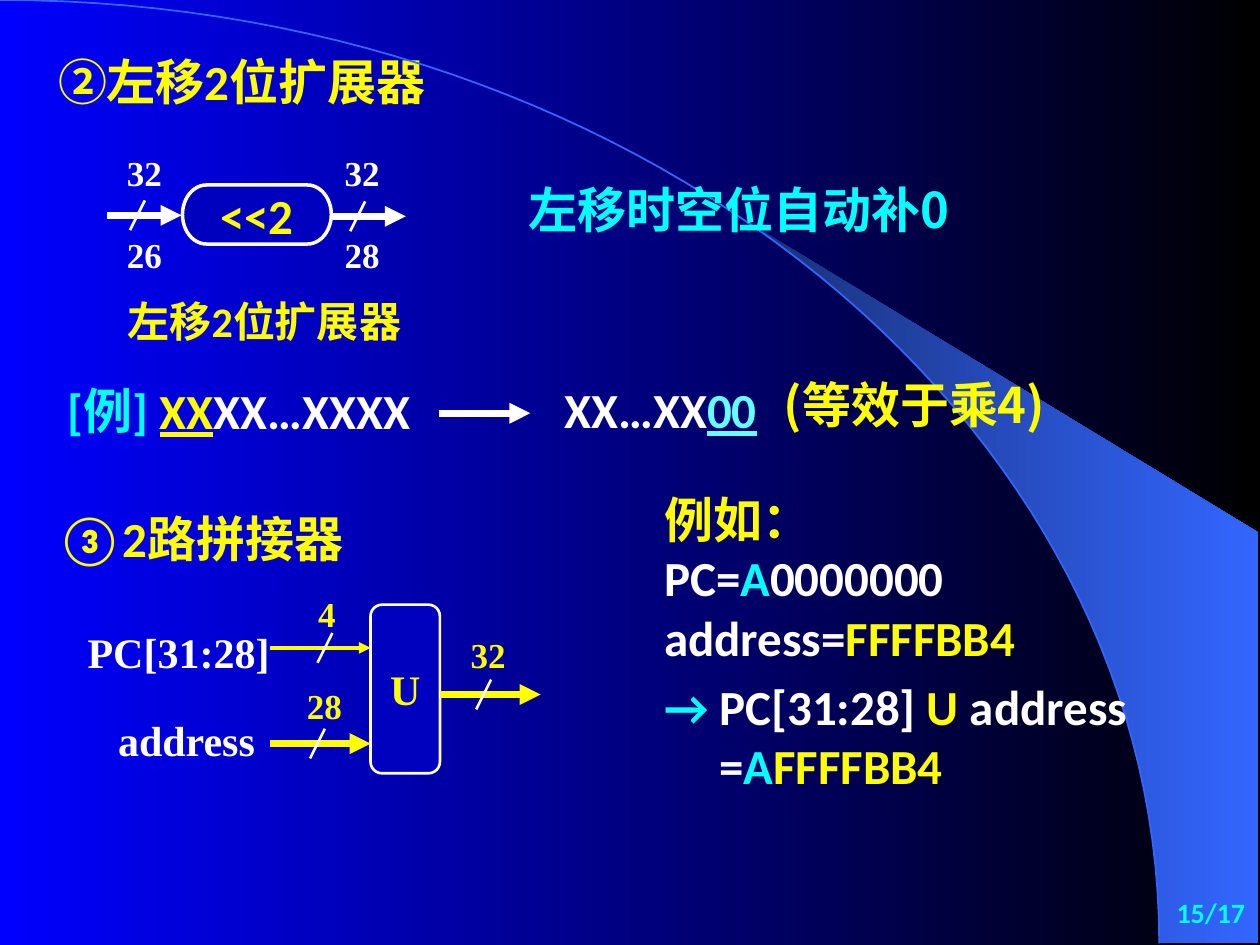
from dataclasses import dataclass

from lxml.etree import SubElement
from pptx import Presentation
from pptx.dml.color import RGBColor
from pptx.enum.shapes import MSO_CONNECTOR, MSO_SHAPE
from pptx.enum.text import MSO_ANCHOR as Anchor, PP_ALIGN as Align
from pptx.oxml.ns import qn
from pptx.util import Cm, Pt


@dataclass(frozen=True)
class Theme:
    blue: str = "0000FF"
    black: str = "000000"
    navy: str = "182F76"
    azure: str = "3366FF"
    block: str = "0000BF"
    white: str = "FFFFFF"
    yellow: str = "FFFF00"
    cyan: str = "00FFFF"
    pale: str = "66FFFF"
    body: str = "Calibri"
    label: str = "Times New Roman"
    chinese: str = "Noto Sans CJK SC"
    large: int = 28
    medium: int = 24
    small: int = 20
    tiny: int = 16


class SlideBuilder:
    def __init__(self, slide, theme):
        self.slide = slide
        self.shapes = slide.shapes
        self.theme = theme

    def gradient(self, fill, first, last):
        fill.gradient()
        fill.gradient_angle = 0
        for stop, color in zip(fill.gradient_stops, (first, last)):
            stop.color.rgb = RGBColor.from_string(color)

    def stroke(self, line, color, width):
        line.color.rgb = RGBColor.from_string(color)
        line.width = Pt(width)

    def outline(self, points, close):
        start, *rest = [(Cm(x), Cm(y)) for x, y in points]
        builder = self.shapes.build_freeform(*start)
        builder.add_line_segments(rest, close=close)
        shape = builder.convert_to_shape()
        shape.shadow.inherit = False
        return shape

    def fill_text(self, holder, paragraphs, size, font=None, align=Align.LEFT,
                  anchor=Anchor.TOP, gap=0, indent=0, inset=(0.28, 0.13)):
        frame = holder.text_frame
        frame.word_wrap = True
        frame.vertical_anchor = anchor
        frame.margin_left = frame.margin_right = Cm(inset[0])
        frame.margin_top = frame.margin_bottom = Cm(inset[1])
        for index, pieces in enumerate(paragraphs):
            paragraph = frame.add_paragraph() if index else frame.paragraphs[0]
            paragraph.alignment = align
            if index:
                paragraph.space_before = Pt(gap)
                if indent:
                    properties = paragraph._p.get_or_add_pPr()
                    properties.set("marL", str(Cm(indent)))
                    properties.set("indent", "0")
            for words, color, *underlined in pieces:
                run = paragraph.add_run()
                run.text = words
                run.font.size = Pt(size)
                run.font.bold = True
                run.font.underline = True if underlined else None
                run.font.color.rgb = RGBColor.from_string(color)
                run.font.name = font or self.theme.body
                east_asian = SubElement(run._r.get_or_add_rPr(), qn("a:ea"))
                east_asian.set("typeface", self.theme.chinese)

    def title(self, box, words):
        title = self.shapes.title
        title.left, title.top, title.width, title.height = map(Cm, box)
        self.fill_text(title, [[(words, self.theme.yellow)]], self.theme.large)

    def text(self, box, paragraphs, size, **style):
        self.fill_text(self.shapes.add_textbox(*map(Cm, box)), paragraphs, size, **style)

    def block(self, kind, box, words, size, width, font):
        shape = self.shapes.add_shape(kind, *map(Cm, box))
        shape.shadow.inherit = False
        shape.fill.solid()
        shape.fill.fore_color.rgb = RGBColor.from_string(self.theme.block)
        self.stroke(shape.line, self.theme.white, width)
        self.fill_text(shape, [[(words, self.theme.yellow)]], size, font=font,
                       align=Align.CENTER, anchor=Anchor.MIDDLE, inset=(0, 0))

    def line(self, start, end, color, width, arrow=False):
        connector = self.shapes.add_connector(
            MSO_CONNECTOR.STRAIGHT, *map(Cm, (*start, *end)))
        self.stroke(connector.line, color, width)
        if arrow:
            SubElement(connector.line._get_or_add_ln(), qn("a:tailEnd")).set("type", "triangle")
        SubElement(connector._element.spPr, qn("a:effectLst"))

    def bus(self, left, right, y, tick, color, width=4):
        self.line((left, y), (right, y), color, width, arrow=True)
        self.line((tick + 0.15, y - 0.3), (tick - 0.15, y + 0.3), self.theme.white, 1.5)

    def widths(self, left, top, labels, color):
        self.text((left, top, 2.06, 1.12 if len(labels) == 1 else 2.82),
                  [[(label, color)] for label in labels], self.theme.small,
                  font=self.theme.label, align=Align.CENTER, gap=23)


def arc_points(first=0.0, steps=60):
    corners = ((0, 0), (12.9, 0), (23.37, 8.51), (23.37, 19.02))
    for step in range(steps + 1):
        t = first + (1 - first) * step / steps
        weights = ((1 - t) ** 3, 3 * t * (1 - t) ** 2, 3 * t * t * (1 - t), t ** 3)
        yield tuple(sum(w * corner[axis] for w, corner in zip(weights, corners))
                    for axis in (0, 1))


def draw_backdrop(page, theme):
    page.gradient(page.slide.background.fill, theme.blue, theme.black)
    beam = page.outline([*arc_points(0.44), (25.37, 19.02), (25.37, 10.74)], True)
    page.gradient(beam.fill, theme.navy, theme.azure)
    beam.line.fill.background()
    arc = page.outline(arc_points(), False)
    arc.fill.background()
    page.stroke(arc.line, theme.azure, 1)
    page.text((20.07, 17.93, 5.28, 1.07), [[("15/17", theme.cyan)]], theme.tiny,
              align=Align.RIGHT, inset=(0.25, 0.13))


def draw_shifter(page, theme):
    page.title((0.89, 0.91, 12.19, 1.47), "②左移2位扩展器")
    page.bus(2.16, 3.66, 4.34, 2.77, theme.white)
    page.bus(6.68, 8.18, 4.36, 7.21, theme.white)
    page.widths(1.88, 2.92, ("32", "26"), theme.white)
    page.widths(6.27, 2.92, ("32", "28"), theme.white)
    page.block(MSO_SHAPE.FLOWCHART_TERMINATOR, (3.68, 3.73, 3, 1.19),
               "<<2", theme.large, 2, theme.body)
    page.text((1.7, 5.82, 7.26, 1.3), [[("左移2位扩展器", theme.yellow)]],
              theme.medium, align=Align.CENTER)
    page.text((10.41, 3.48, 9.8, 1.45), [[("左移时空位自动补0", theme.cyan)]],
              theme.large, font=theme.chinese, inset=(0.25, 0.13))
    page.text((1.09, 7.54, 8.81, 1.47),
              [[("[例] ", theme.cyan), ("XX", theme.yellow, True), ("XX…XXXX", theme.white)]],
              theme.large)
    page.line((8.84, 8.33), (10.69, 8.33), theme.white, 4, arrow=True)
    page.text((11.1, 7.52, 5.99, 1.47),
              [[("XX…XX", theme.white), ("00", theme.pale, True)]], theme.large)
    page.text((15.52, 7.42, 8, 1.47), [[("(等效于乘4)", theme.yellow)]],
              theme.large, font=theme.chinese)


def draw_joiner(page, theme):
    page.text((0.89, 10.13, 9.19, 1.47), [[("③2路拼接器", theme.yellow)]], theme.large)
    page.block(MSO_SHAPE.FLOWCHART_ALTERNATE_PROCESS, (7.47, 12.19, 1.4, 3.4),
               "U", theme.medium, 1.5, theme.label)
    for box, port in (((1.4, 12.5, 4.4, 1.3), "PC[31:28]"),
                      ((2.06, 14.27, 3.4, 1.3), "address")):
        page.text(box, [[(port, theme.white)]], theme.medium,
                  font=theme.label, align=Align.CENTER)
    page.bus(5.44, 7.47, 13.06, 6.55, theme.yellow, 2.25)
    page.bus(5.44, 7.47, 14.99, 6.4, theme.yellow)
    page.bus(8.86, 10.9, 14, 9.75, theme.yellow)
    for left, top, bits in ((5.56, 11.81, "4"), (5.51, 13.67, "28"), (8.81, 12.65, "32")):
        page.widths(left, top, (bits,), theme.yellow)


def draw_example(page, theme):
    left = 13.11
    page.text((left, 9.73, 10.21, 2.64),
              [[("例如：", theme.yellow)],
               [("PC=", theme.white), ("A", theme.cyan), ("0000000", theme.white)]],
              theme.large)
    page.text((left, 12.12, 9.4, 1.47),
              [[("address=", theme.white), ("FFFFBB4", theme.yellow)]], theme.large)
    page.text((left, 13.51, 11.2, 2.64),
              [[("→ ", theme.cyan), ("PC[31:28] ", theme.white),
                ("U", theme.yellow), (" address", theme.white)],
               [("=", theme.white), ("A", theme.cyan), ("FFFFBB4", theme.yellow)]],
              theme.large, indent=1.11)


def main():
    deck = Presentation()
    deck.slide_width, deck.slide_height = Cm(25.4), Cm(19.05)
    theme = Theme()
    page = SlideBuilder(deck.slides.add_slide(deck.slide_layouts[5]), theme)
    for draw in (draw_backdrop, draw_shifter, draw_joiner, draw_example):
        draw(page, theme)
    deck.save("out.pptx")


if __name__ == "__main__":
    main()
